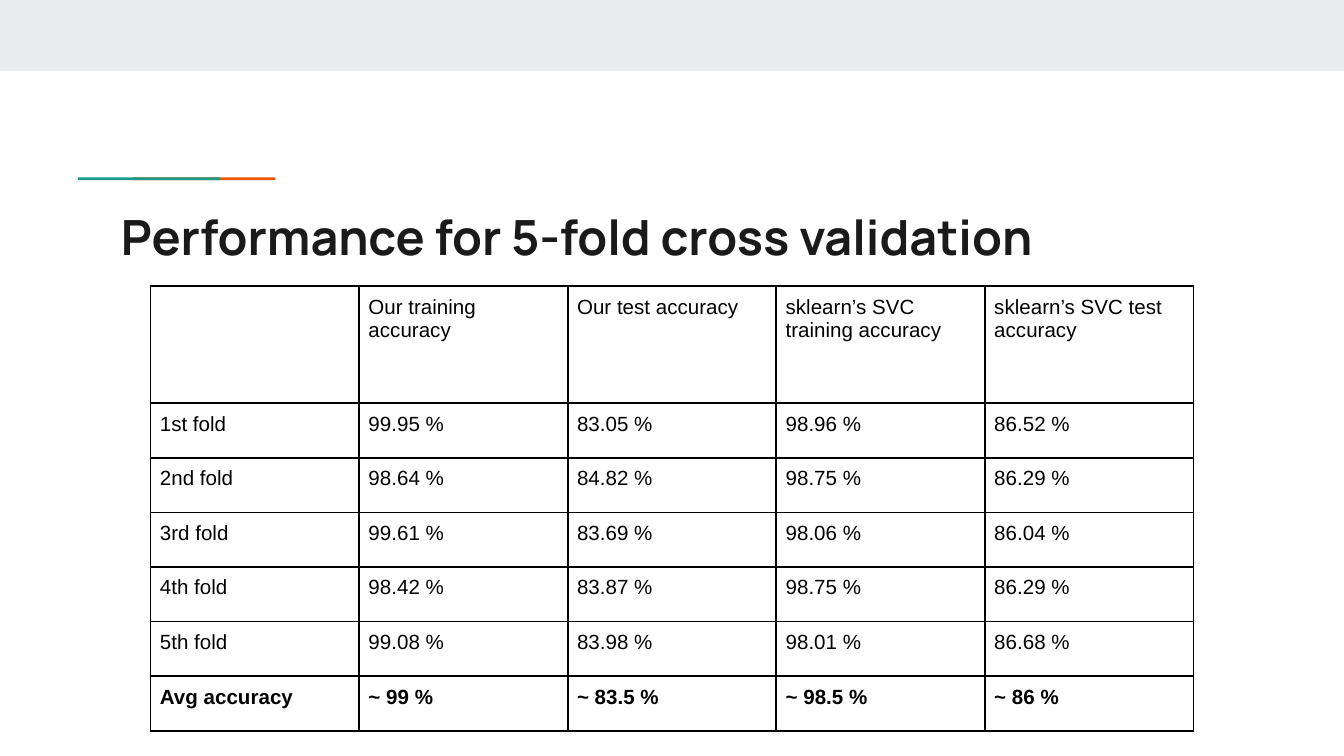
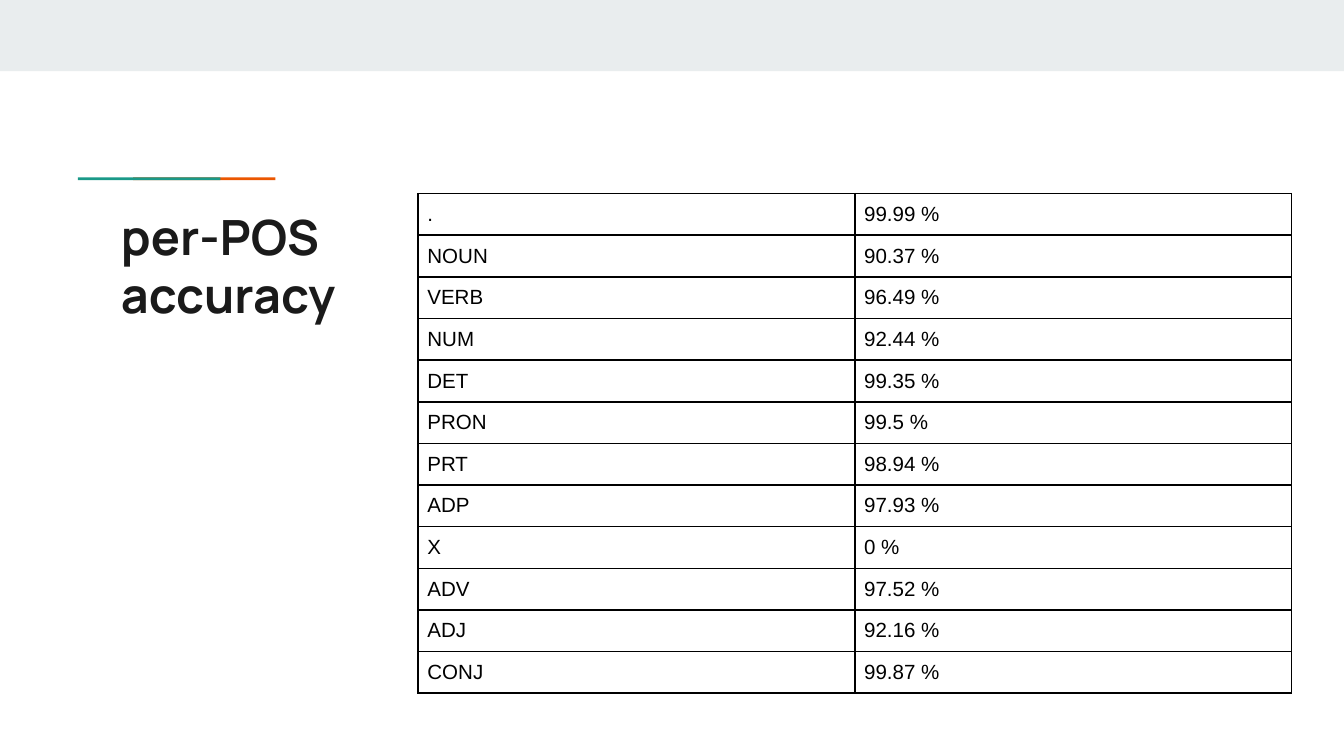
import pptx
import pptx.dml.color
import pptx.enum.shapes
import pptx.enum.text
import pptx.oxml.ns
import pptx.util
from lxml import etree

Inches = pptx.util.Inches
Pt = pptx.util.Pt

# Shared look
BAND, TEAL, ORANGE = "E9EDEE", "1A9988", "EB5600"
INK, BLACK = "1A1A1A", "000000"
TITLE_FONT, TABLE_FONT = "Manrope", "Arial"

# Table contents
FOLD_ROWS = [
    ["", "Our training accuracy", "Our test accuracy",
     "sklearn’s SVC training accuracy", "sklearn’s SVC test accuracy"],
    ["1st fold", "99.95 %", "83.05 %", "98.96 %", "86.52 %"],
    ["2nd fold", "98.64 %", "84.82 %", "98.75 %", "86.29 %"],
    ["3rd fold", "99.61 %", "83.69 %", "98.06 %", "86.04 %"],
    ["4th fold", "98.42 %", "83.87 %", "98.75 %", "86.29 %"],
    ["5th fold", "99.08 %", "83.98 %", "98.01 %", "86.68 %"],
    ["Avg accuracy", "~ 99 %", "~ 83.5 %", "~ 98.5 %", "~ 86 %"],
]
POS_ROWS = [
    [".", "99.99 %"], ["NOUN", "90.37 %"], ["VERB", "96.49 %"],
    ["NUM", "92.44 %"], ["DET", "99.35 %"], ["PRON", "99.5 %"],
    ["PRT", "98.94 %"], ["ADP", "97.93 %"], ["X", "0 %"],
    ["ADV", "97.52 %"], ["ADJ", "92.16 %"], ["CONJ", "99.87 %"],
]


def rgb(color):
    return pptx.dml.color.RGBColor.from_string(color)


def style_runs(p, font, size, color, bold=False):
    for r in p.runs:
        r.font.name = font
        r.font.size = Pt(size)
        r.font.bold = bold
        r.font.color.rgb = rgb(color)


def add_bar(slide, x, y, w, h, color):
    sp = slide.shapes.add_shape(pptx.enum.shapes.MSO_SHAPE.RECTANGLE,
                                Inches(x), Inches(y), Inches(w), Inches(h))
    sp.shadow.inherit = False
    sp.fill.solid()
    sp.fill.fore_color.rgb = rgb(color)
    sp.line.fill.background()


def add_slide(prs, title, width, height):
    """Add a slide with the top band, the two-colour rule and a title."""
    slide = prs.slides.add_slide(prs.slide_layouts[5])
    add_bar(slide, 0, 0, 10, 0.53, BAND)
    add_bar(slide, 0.99, 1.32, 1.06, 0.02, ORANGE)
    add_bar(slide, 0.58, 1.32, 1.06, 0.02, TEAL)

    sp = slide.shapes.title
    sp.left, sp.top = Inches(0.8), Inches(1.44)
    sp.width, sp.height = Inches(width), Inches(height)
    tf = sp.text_frame
    tf.text = title
    tf.word_wrap = True
    tf.auto_size = pptx.enum.text.MSO_AUTO_SIZE.NONE
    tf.vertical_anchor = pptx.enum.text.MSO_ANCHOR.TOP
    tf.margin_left = tf.margin_right = Inches(0.1)
    tf.margin_top = tf.margin_bottom = Inches(0.1)
    p = tf.paragraphs[0]
    p.alignment = pptx.enum.text.PP_ALIGN.LEFT
    p.line_spacing = 1.0
    style_runs(p, TITLE_FONT, 26, INK, bold=True)
    return slide


def set_borders(cell, color, width):
    tc_pr = cell._tc.get_or_add_tcPr()
    qn = pptx.oxml.ns.qn
    for side in ("a:lnL", "a:lnR", "a:lnT", "a:lnB"):
        ln = etree.SubElement(tc_pr, qn(side), w=str(Pt(width)))
        fill = etree.SubElement(ln, qn("a:solidFill"))
        etree.SubElement(fill, qn("a:srgbClr"), val=color)


def add_grid(slide, rows, x, y, width, height, head_height=None, bold_rows=()):
    """Add a plain table with thin black borders and equal rows.

    The first row may have a height of its own.
    """
    n_rows, n_cols = len(rows), len(rows[0])
    frame = slide.shapes.add_table(n_rows, n_cols, Inches(x), Inches(y),
                                   Inches(width), Inches(height))
    table = frame.table
    table.first_row = table.horz_banding = False
    for col in table.columns:
        col.width = Inches(width / n_cols)
    if head_height:
        heights = [head_height] + [(height - head_height) / (n_rows - 1)] * (n_rows - 1)
    else:
        heights = [height / n_rows] * n_rows
    for i, texts in enumerate(rows):
        table.rows[i].height = Inches(heights[i])
        for j, text in enumerate(texts):
            cell = table.cell(i, j)
            cell.margin_left = cell.margin_right = Inches(0.07)
            cell.margin_top = cell.margin_bottom = Inches(0.07)
            set_borders(cell, BLACK, 1)
            cell.fill.background()
            cell.text_frame.text = text
            style_runs(cell.text_frame.paragraphs[0], TABLE_FONT, 11, BLACK,
                       bold=i in bold_rows)


def main():
    prs = pptx.Presentation()
    prs.slide_width = Inches(10)
    prs.slide_height = prs.slide_width * 9 // 16

    # Cross validation
    slide = add_slide(prs, "Performance for 5-fold cross validation", 8.41, 0.59)
    add_grid(slide, FOLD_ROWS, 1.12, 2.13, 7.76, 3.31, head_height=0.87,
             bold_rows=[len(FOLD_ROWS) - 1])

    # Accuracy per part of speech
    slide = add_slide(prs, "per-POS accuracy", 2.59, 0.82)
    add_grid(slide, POS_ROWS, 3.11, 1.44, 6.5, 3.71)

    prs.save("out.pptx")


if __name__ == "__main__":
    main()
